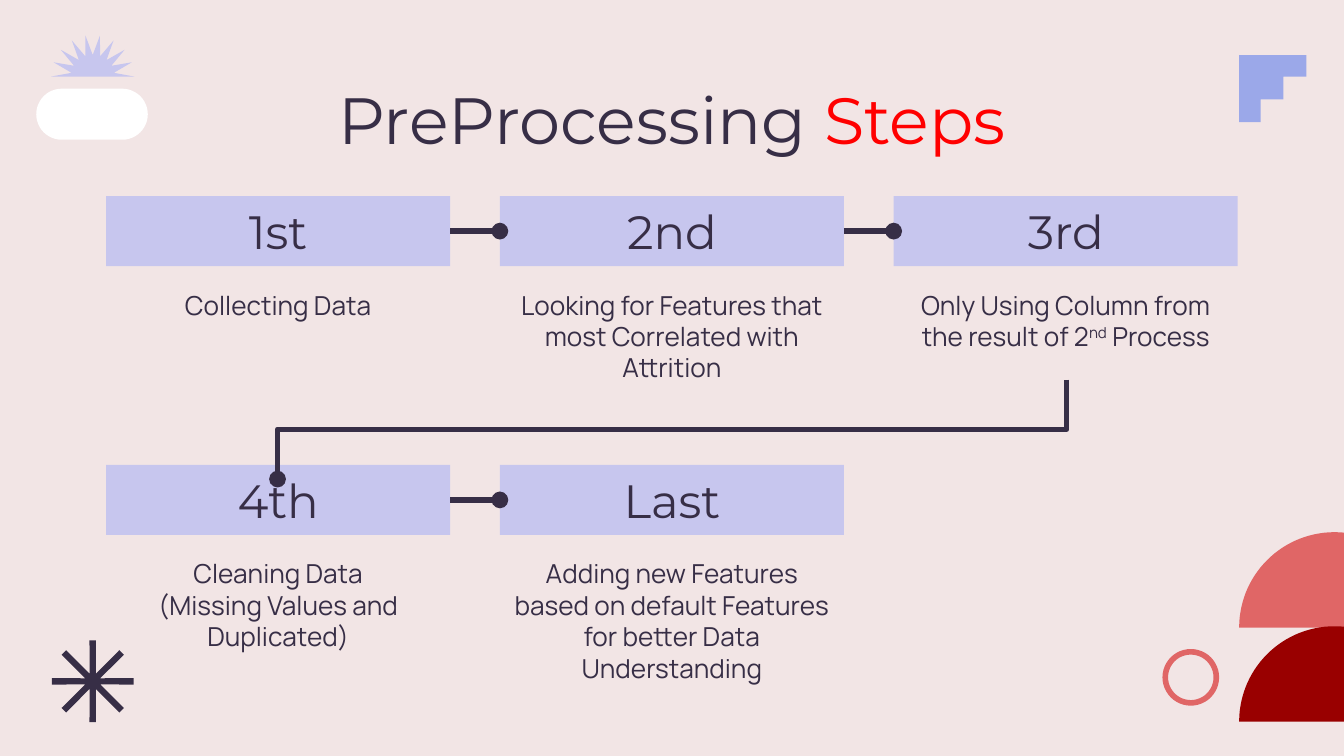
"""Build the PreProcessing Steps slide: five linked steps with decorative shapes."""
from math import cos, radians, sin

from lxml import etree
from pptx import Presentation
from pptx.dml.color import RGBColor
from pptx.enum.shapes import MSO_CONNECTOR, MSO_SHAPE
from pptx.enum.text import MSO_ANCHOR, MSO_AUTO_SIZE, PP_ALIGN
from pptx.oxml.ns import qn
from pptx.util import Pt

PX = 9144
SLIDE_W = 1000
ELBOW = MSO_CONNECTOR.ELBOW
RECT, OVAL, PILL = MSO_SHAPE.RECTANGLE, MSO_SHAPE.OVAL, MSO_SHAPE.ROUNDED_RECTANGLE
TOP, MIDDLE = MSO_ANCHOR.TOP, MSO_ANCHOR.MIDDLE
CENTER, NO_FIT = PP_ALIGN.CENTER, MSO_AUTO_SIZE.NONE

COLORS = {
    "bg": "F2E5E5", "ink": "372E46", "lilac": "C7C6EE", "blue": "9BA8E9",
    "white": "FFFFFF", "coral": "E06666", "maroon": "990000", "red": "FF0000",
}
HEAD_FONT, BODY_FONT = "Montserrat", "Manrope"
TITLE = [("PreProcessing ", "ink"), ("Steps", "red")]
STEPS = [
    ("1st", [["Collecting Data"]]),
    ("2nd", [["Looking for Features that most Correlated with Attrition"]]),
    ("3rd", [["Only Using Column from the result of 2", "nd", " Process"]]),
    ("4th", [["Cleaning Data"], ["(Missing Values and Duplicated)"]]),
    ("Last", [["Adding new Features based on default Features for better Data Understanding"]]),
]
COLS, LEFT, HEAD_TOP, BODY_TOP = 3, 79, 146, 205
COL_STEP, ROW_STEP = 293, 200
STEP_W, HEAD_H, BODY_H = 256, 52, 68
STAIRS = [(972, 41), (922, 41), (922, 91), (938, 91), (938, 74), (955, 74), (955, 57), (972, 57)]


def rgb(name):
    return RGBColor.from_string(COLORS[name])


def emu(*lengths):
    return [round(v * PX) for v in lengths]


def polar(cx, cy, radius, degrees):
    return cx + radius * cos(radians(degrees)), cy + radius * sin(radians(degrees))


def paint(sp, fill):
    sp.shadow.inherit = False
    sp.fill.solid()
    sp.fill.fore_color.rgb = rgb(fill)
    sp.line.fill.background()


def add_shape(s, kind, box, fill):
    sp = s.shapes.add_shape(kind, *emu(*box))
    paint(sp, fill)
    return sp


def add_polygon(s, points, fill):
    first, *rest = [emu(*point) for point in points]
    builder = s.shapes.build_freeform(*first)
    builder.add_line_segments(rest, close=True)
    paint(builder.convert_to_shape(), fill)


def half_disc(cx, base, radius):
    return [polar(cx, base, radius, a) for a in range(180, 361, 3)]


def sunburst(cx, base):
    return [polar(cx, base, 16 if i % 2 else 31, 180 + 10 * i) for i in range(19)]


def asterisk(cx, cy):
    return [polar(cx, cy, radius, 45 * arm + turn)
            for arm in range(8) for radius, turn in ((6, -22.5), (30.5, -4.5), (30.5, 4.5))]


def set_frame(tf, anchor):
    tf.word_wrap = True
    tf.auto_size = NO_FIT
    tf.vertical_anchor = anchor
    tf.margin_left = tf.margin_right = tf.margin_top = tf.margin_bottom = 10 * PX


def style(p, font, size):
    p.alignment = CENTER
    p.font.name, p.font.size, p.font.color.rgb = font, Pt(size), rgb("ink")


def add_link(s, x1, y1, x2, y2, rotation=0):
    line = s.shapes.add_connector(ELBOW, *emu(x1, y1, x2, y2))
    line.line.color.rgb, line.line.width = rgb("ink"), Pt(3)
    props = line.element.spPr
    etree.SubElement(props.find(qn("a:ln")), qn("a:tailEnd"), type="oval")
    etree.SubElement(props, qn("a:effectLst"))
    if rotation:
        props.find(qn("a:xfrm")).set("rot", str(rotation * 60000))


def add_decor(s):
    add_polygon(s, STAIRS, "blue")
    add_shape(s, PILL, (27, 66, 83, 38), "white").adjustments[0] = 0.5
    ring = s.shapes.add_shape(OVAL, *emu(867, 485, 38, 38))
    ring.shadow.inherit = False
    ring.fill.background()
    ring.line.color.rgb, ring.line.width = rgb("coral"), Pt(3)
    add_polygon(s, sunburst(69, 57), "lilac")
    for base, fill in ((467, "coral"), (537, "maroon")):
        add_polygon(s, half_disc(993, base, 71), fill)
    add_polygon(s, asterisk(69, 507), "ink")


def add_title(s):
    sp = s.shapes.title
    sp.left, sp.top, sp.width, sp.height = emu(78, 49, 844, 63)
    set_frame(sp.text_frame, TOP)
    p = sp.text_frame.paragraphs[0]
    style(p, HEAD_FONT, 35)
    for text, color in TITLE:
        r = p.add_run()
        r.text = text
        r.font.color.rgb = rgb(color)


def add_step(s, x, y, head, paragraphs):
    body = s.shapes.add_textbox(*emu(x, y + BODY_TOP, STEP_W, BODY_H))
    tf = body.text_frame
    set_frame(tf, TOP)
    for i, runs in enumerate(paragraphs):
        p = tf.add_paragraph() if i else tf.paragraphs[0]
        style(p, BODY_FONT, 14)
        for text in runs:
            r = p.add_run()
            r.text = text
            if text == "nd":
                r.font._element.set("baseline", "30000")
    box = add_shape(s, RECT, (x, y + HEAD_TOP, STEP_W, HEAD_H), "lilac")
    set_frame(box.text_frame, MIDDLE)
    box.text_frame.text = head
    style(box.text_frame.paragraphs[0], HEAD_FONT, 25)


def main():
    prs = Presentation()
    prs.slide_width = SLIDE_W * PX
    prs.slide_height = prs.slide_width * 9 // 16
    s = prs.slides.add_slide(prs.slide_layouts[5])
    s.background.fill.solid()
    s.background.fill.fore_color.rgb = rgb("bg")
    add_decor(s)
    add_title(s)
    places = [(LEFT + i % COLS * COL_STEP, i // COLS * ROW_STEP) for i in range(len(STEPS))]
    for (x, y), (head, paragraphs) in zip(places, STEPS):
        add_step(s, x, y, head, paragraphs)
    for (x1, y1), (x2, y2) in zip(places, places[1:]):
        if y1 == y2:
            mid = y1 + HEAD_TOP + HEAD_H // 2
            add_link(s, x1 + STEP_W, mid, x2, mid)
        else:
            add_link(s, 463, 26, 537, 613, rotation=90)
    prs.save("out.pptx")


if __name__ == "__main__":
    main()
